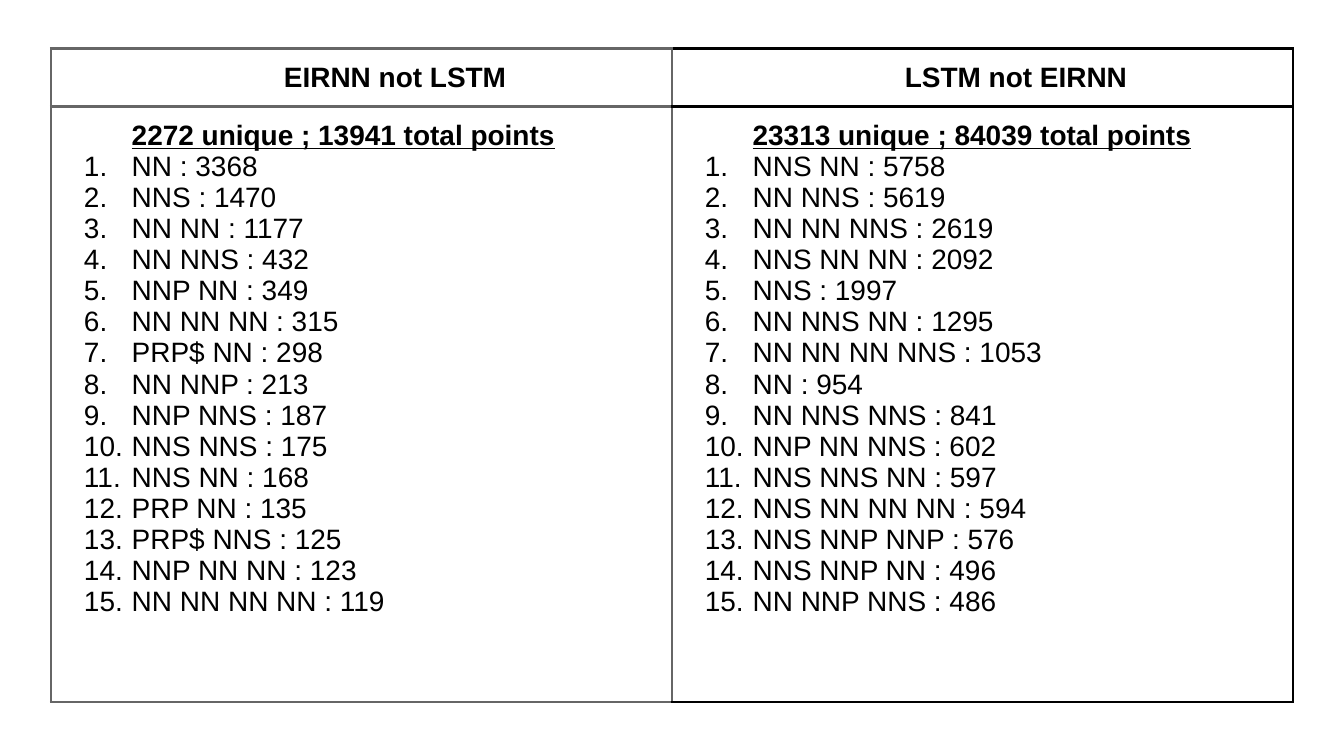
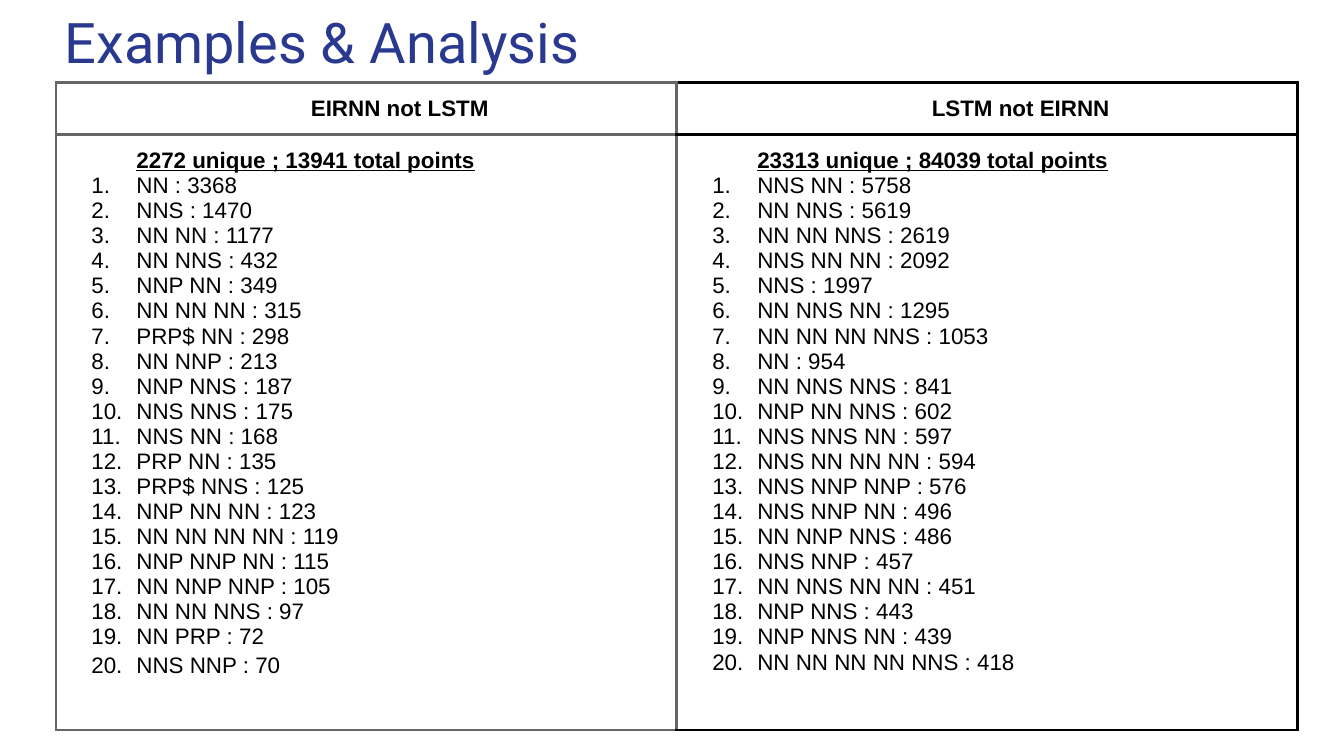
import dataclasses

import lxml.etree
import pptx
import pptx.dml.color
import pptx.enum.text
import pptx.oxml.ns
import pptx.util


@dataclasses.dataclass(frozen=True)
class Theme:
    title_color: str = "2A3990"
    text_color: str = "000000"
    grey: str = "666666"
    black: str = "000000"
    title_font: str = "Roboto"
    body_font: str = "Arial"
    title_size: int = 30
    large_size: int = 15
    small_size: int = 12
    border_width: float = 1.5


THEME = Theme()
PX = 4572
SLIDE_SIZE = (2000, 1125)
COLUMN_WIDTH = 924
ROW_HEIGHTS = (66, 886)
INSET = 20
INDENT = 100
MARGINS = {f"margin_{side}": pptx.util.Emu(INSET * PX)
           for side in ("left", "right", "top", "bottom")}

COLUMNS = [
    {
        "header": "EIRNN not LSTM",
        "summary": "2272 unique ; 13941 total points",
        "borders": {"L": THEME.grey, "R": THEME.grey, "T": THEME.grey, "B": THEME.grey},
        "counts": [
            ("NN", 3368), ("NNS", 1470), ("NN NN", 1177), ("NN NNS", 432),
            ("NNP NN", 349), ("NN NN NN", 315), ("PRP$ NN", 298), ("NN NNP", 213),
            ("NNP NNS", 187), ("NNS NNS", 175), ("NNS NN", 168), ("PRP NN", 135),
            ("PRP$ NNS", 125), ("NNP NN NN", 123), ("NN NN NN NN", 119),
            ("NNP NNP NN", 115), ("NN NNP NNP", 105), ("NN NN NNS", 97),
            ("NN PRP", 72), ("NNS NNP", 70),
        ],
    },
    {
        "header": "LSTM not EIRNN",
        "summary": "23313 unique ; 84039 total points",
        "borders": {"L": THEME.grey, "R": THEME.black, "T": THEME.black, "B": THEME.black},
        "counts": [
            ("NNS NN", 5758), ("NN NNS", 5619), ("NN NN NNS", 2619), ("NNS NN NN", 2092),
            ("NNS", 1997), ("NN NNS NN", 1295), ("NN NN NN NNS", 1053), ("NN", 954),
            ("NN NNS NNS", 841), ("NNP NN NNS", 602), ("NNS NNS NN", 597),
            ("NNS NN NN NN", 594), ("NNS NNP NNP", 576), ("NNS NNP NN", 496),
            ("NN NNP NNS", 486), ("NNS NNP", 457), ("NN NNS NN NN", 451),
            ("NNP NNS", 443), ("NNP NNS NN", 439), ("NN NN NN NN NNS", 418),
        ],
    },
]


def px(n):
    return pptx.util.Emu(n * PX)


def set_attrs(obj, values):
    for name, value in values.items():
        setattr(obj, name, value)


def add_xml(parent, tag, **attrs):
    el = lxml.etree.SubElement(parent, pptx.oxml.ns.qn(tag))
    for name, value in attrs.items():
        el.set(name, str(value))
    return el


def write(p, text, size, font=THEME.body_font, color=THEME.text_color, **styles):
    r = p.add_run()
    r.text = text
    set_attrs(r.font, {"size": pptx.util.Pt(size), "name": font, **styles})
    r.font.color.rgb = pptx.dml.color.RGBColor.from_string(color)


def indent(p, hang=0):
    pPr = p._p.get_or_add_pPr()
    pPr.set("marL", str(INDENT * PX))
    pPr.set("indent", str(-hang * PX))
    return pPr


def number(p, hang):
    pPr = indent(p, hang)
    add_xml(add_xml(pPr, "a:buClr"), "a:srgbClr", val=THEME.text_color)
    add_xml(pPr, "a:buFont", typeface=THEME.body_font)
    add_xml(pPr, "a:buAutoNum", type="arabicPeriod")


def format_cell(cell, borders):
    set_attrs(cell, MARGINS)
    cell.fill.background()
    tcPr = cell._tc.get_or_add_tcPr()
    for i, (side, color) in enumerate(borders.items()):
        ln = add_xml(tcPr, f"a:ln{side}", w=pptx.util.Pt(THEME.border_width))
        add_xml(add_xml(ln, "a:solidFill"), "a:srgbClr", val=color)
        tcPr.insert(i, ln)


def fill_header(cell, text, size):
    p = cell.text_frame.paragraphs[0]
    p.alignment = pptx.enum.text.PP_ALIGN.CENTER
    indent(p)
    write(p, text, size, bold=True)


def fill_counts(cell, summary, counts, size, hang):
    tf = cell.text_frame
    p = tf.paragraphs[0]
    indent(p)
    write(p, summary, size, bold=True, underline=True)
    for tags, count in counts:
        p = tf.add_paragraph()
        number(p, hang)
        write(p, f"{tags} : {count}", size, bold=False, underline=False)


def add_comparison(slide, left, top, size, hang, limit):
    sp = slide.shapes.add_table(len(ROW_HEIGHTS), len(COLUMNS), px(left), px(top),
                                px(COLUMN_WIDTH * len(COLUMNS)), px(sum(ROW_HEIGHTS)))
    table = sp.table
    set_attrs(table, {"first_row": False, "horz_banding": False})
    for row, height in zip(table.rows, ROW_HEIGHTS):
        row.height = px(height)
    for i, column in enumerate(COLUMNS):
        table.columns[i].width = px(COLUMN_WIDTH)
        header, body = table.cell(0, i), table.cell(1, i)
        for cell in (header, body):
            format_cell(cell, column["borders"])
        fill_header(header, column["header"], size)
        fill_counts(body, column["summary"], column["counts"][:limit], size, hang)
    return table


def add_title(slide, text):
    sp = slide.shapes.title
    set_attrs(sp, {"left": px(76), "top": px(-9), "width": px(1864), "height": px(132)})
    tf = sp.text_frame
    set_attrs(tf, {**MARGINS, "word_wrap": True,
                   "auto_size": pptx.enum.text.MSO_AUTO_SIZE.NONE,
                   "vertical_anchor": pptx.enum.text.MSO_ANCHOR.TOP})
    p = tf.paragraphs[0]
    p.alignment = pptx.enum.text.PP_ALIGN.LEFT
    write(p, text, THEME.title_size, THEME.title_font, THEME.title_color)


def main():
    prs = pptx.Presentation()
    prs.slide_width, prs.slide_height = map(px, SLIDE_SIZE)
    title_only, blank = prs.slide_layouts[5], prs.slide_layouts[6]

    slide = prs.slides.add_slide(blank)
    add_comparison(slide, 76, 72, THEME.large_size, hang=71, limit=15)

    slide = prs.slides.add_slide(title_only)
    add_title(slide, "Examples & Analysis")
    table = add_comparison(slide, 83, 123, THEME.small_size, hang=67, limit=20)
    table.cell(1, 0).text_frame.paragraphs[-1].line_spacing = 1.15

    prs.save("out.pptx")


if __name__ == "__main__":
    main()
